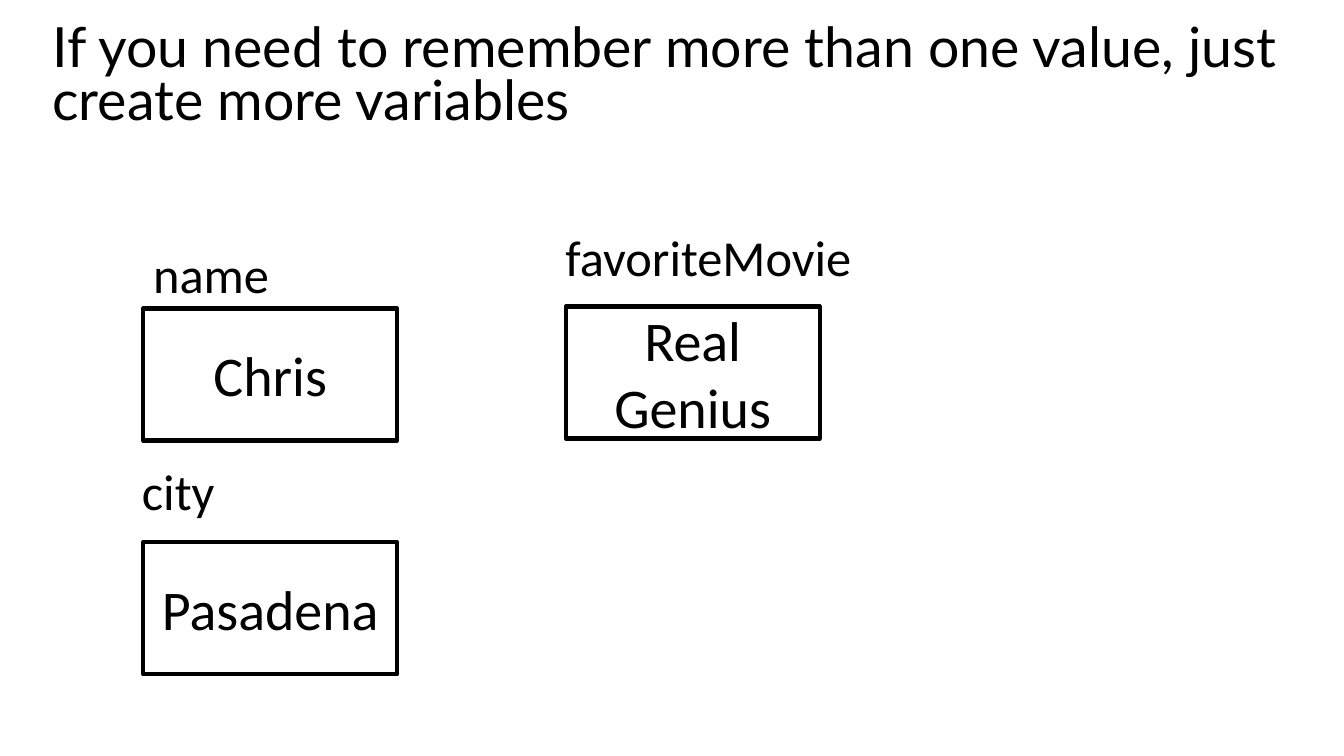
"""Build a slide that shows variables as labelled boxes."""
from dataclasses import dataclass

from pptx import Presentation
from pptx.dml.color import RGBColor
from pptx.enum.shapes import MSO_SHAPE
from pptx.enum.text import MSO_ANCHOR, MSO_AUTO_SIZE, PP_ALIGN
from pptx.util import Inches, Pt

RECTANGLE = MSO_SHAPE.RECTANGLE
TOP, MIDDLE = MSO_ANCHOR.TOP, MSO_ANCHOR.MIDDLE
LEFT, CENTER = PP_ALIGN.LEFT, PP_ALIGN.CENTER
NO_FIT, GROW = MSO_AUTO_SIZE.NONE, MSO_AUTO_SIZE.SHAPE_TO_FIT_TEXT


@dataclass(frozen=True)
class Theme:
    ink: RGBColor = RGBColor(0, 0, 0)
    title_font: str = "Lato"
    body_font: str = "Calibri"
    title_size: float = 39.6
    value_size: float = 40
    label_size: float = 36
    outline: float = 3


class SlideBuilder:
    def __init__(self, slide, theme):
        self.slide = slide
        self.theme = theme

    def add_text(self, frame, text, font, size, align=LEFT):
        paragraph = frame.paragraphs[0]
        paragraph.alignment = align
        run = paragraph.add_run()
        run.text = text
        run.font.name = font
        run.font.size = Pt(size)
        run.font.color.rgb = self.theme.ink
        return paragraph

    def title(self, text, left, top, width, height):
        heading = self.slide.shapes.title
        heading.left, heading.top = Inches(left), Inches(top)
        heading.width, heading.height = Inches(width), Inches(height)
        frame = heading.text_frame
        frame.auto_size = NO_FIT
        frame.vertical_anchor = TOP
        paragraph = self.add_text(frame, text, self.theme.title_font, self.theme.title_size)
        paragraph.line_spacing = 0.8

    def value_box(self, text, left, top, width, height):
        box = self.slide.shapes.add_shape(
            RECTANGLE, Inches(left), Inches(top), Inches(width), Inches(height))
        box.shadow.inherit = False
        box.fill.background()
        box.line.color.rgb = self.theme.ink
        box.line.width = Pt(self.theme.outline)
        frame = box.text_frame
        frame.word_wrap = True
        frame.vertical_anchor = MIDDLE
        self.add_text(frame, text, self.theme.body_font, self.theme.value_size, CENTER)

    def label(self, text, left, top, width, height):
        caption = self.slide.shapes.add_textbox(
            Inches(left), Inches(top), Inches(width), Inches(height))
        frame = caption.text_frame
        frame.word_wrap = False
        frame.auto_size = GROW
        self.add_text(frame, text, self.theme.body_font, self.theme.label_size)


BOX_WIDTH, BOX_HEIGHT, LABEL_HEIGHT = 2.52, 1.31, 0.71
VARIABLES = [
    ("name", (1.42, 2.36), 1.36, "Chris", (1.42, 3.06)),
    ("city", (1.31, 4.52), 0.93, "Pasadena", (1.42, 5.38)),
    ("favoriteMovie", (5.51, 2.19), 3.06, "Real Genius", (5.61, 3.04)),
]

deck = Presentation()
deck.slide_width, deck.slide_height = Inches(13.33), Inches(7.5)
builder = SlideBuilder(deck.slides.add_slide(deck.slide_layouts[5]), Theme())
builder.title("If you need to remember more than one value, just create more variables",
              0.42, 0.2, 12.6, 1.16)
for variable, label_at, label_width, value, box_at in VARIABLES:
    builder.value_box(value, *box_at, BOX_WIDTH, BOX_HEIGHT)
    builder.label(variable, *label_at, label_width, LABEL_HEIGHT)
deck.save("out.pptx")
